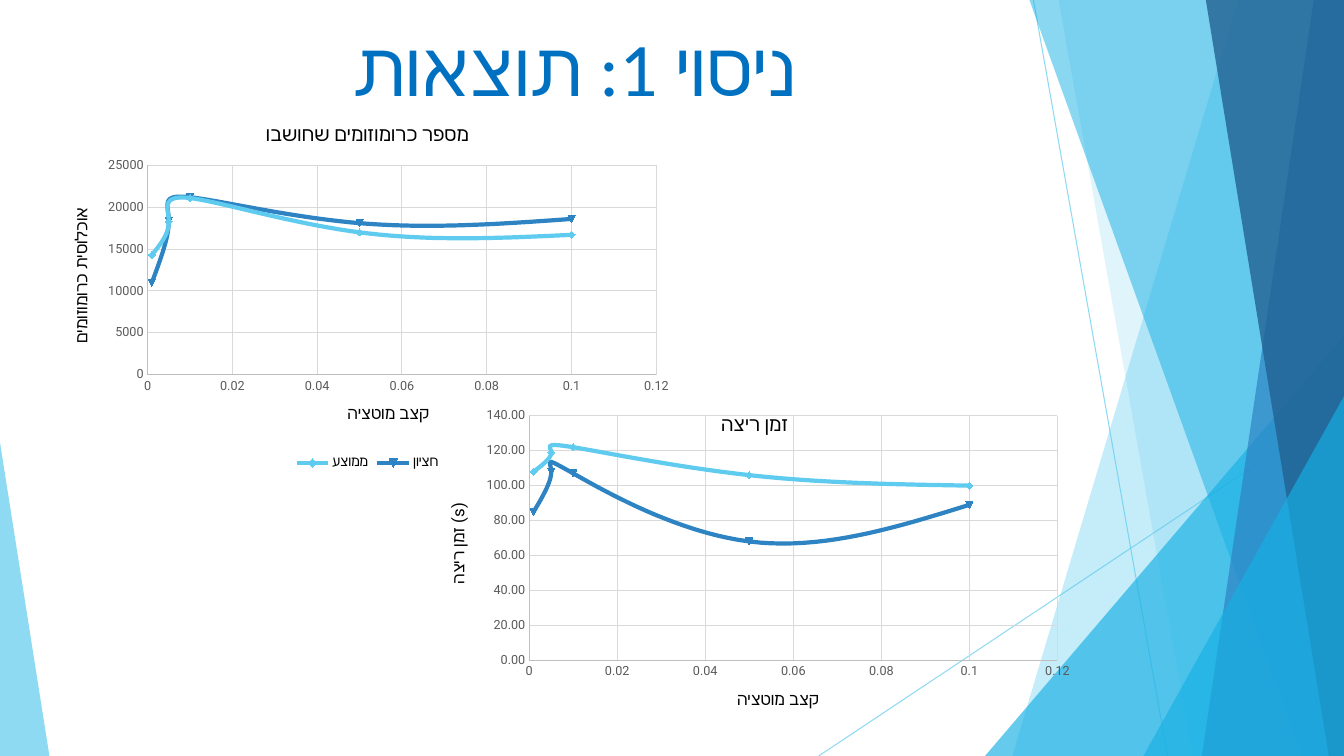
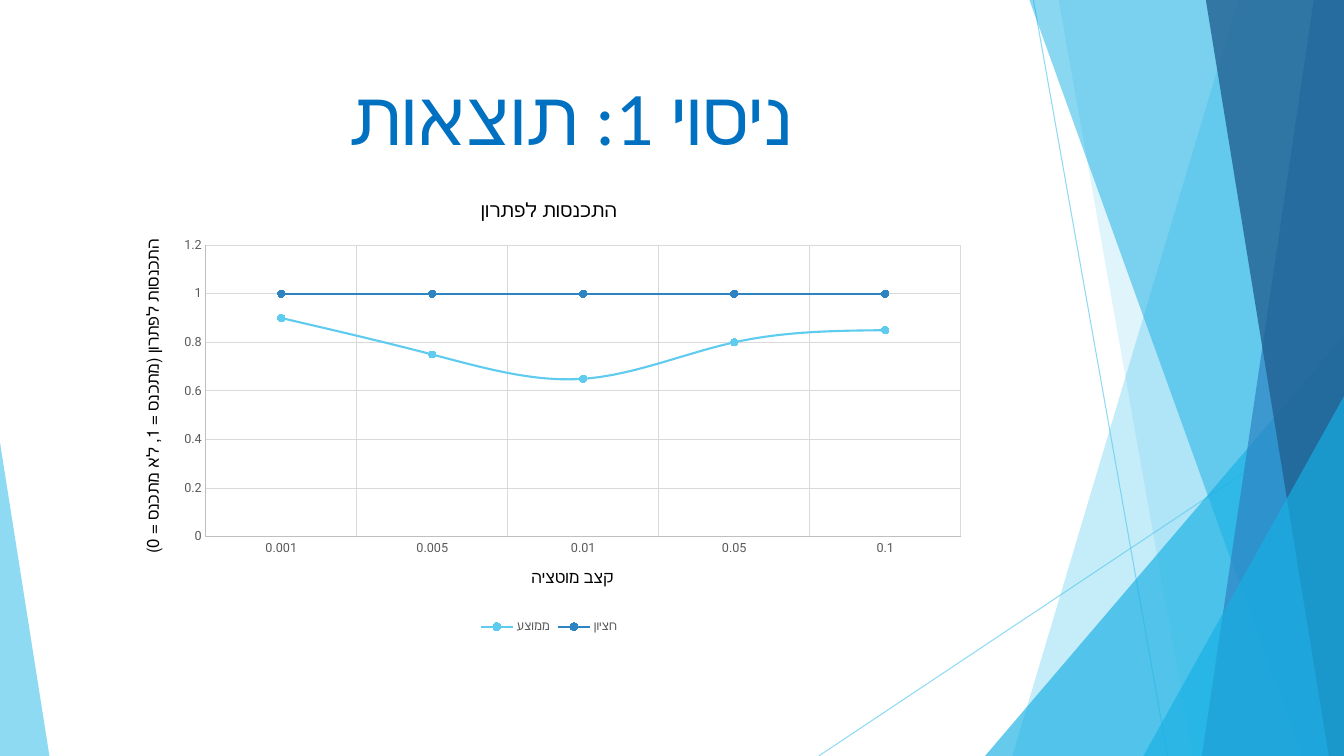
from lxml import etree
from pptx import Presentation
from pptx.chart.data import CategoryChartData, XyChartData
from pptx.dml.color import RGBColor
from pptx.enum.chart import XL_CHART_TYPE, XL_LEGEND_POSITION, XL_MARKER_STYLE, XL_TICK_MARK
from pptx.enum.shapes import MSO_CONNECTOR, MSO_SHAPE
from pptx.enum.text import MSO_ANCHOR, PP_ALIGN
from pptx.oxml.ns import qn
from pptx.util import Inches, Pt

SCATTER, LINE = XL_CHART_TYPE.XY_SCATTER_SMOOTH, XL_CHART_TYPE.LINE_MARKERS
CIRCLE = XL_MARKER_STYLE.CIRCLE
NO_TICK = XL_TICK_MARK.NONE
BOTTOM = XL_LEGEND_POSITION.BOTTOM
STRAIGHT, TRIANGLE = MSO_CONNECTOR.STRAIGHT, MSO_SHAPE.ISOSCELES_TRIANGLE
TOP, CENTER = MSO_ANCHOR.TOP, PP_ALIGN.CENTER


class Theme:
    sky, cyan = RGBColor(0x5F, 0xCB, 0xEF), RGBColor(0x17, 0xB0, 0xE4)
    blue, navy = RGBColor(0x2E, 0x83, 0xC3), RGBColor(0x22, 0x62, 0x92)
    title = RGBColor(0x00, 0x70, 0xC0)
    black, grey = RGBColor(0, 0, 0), RGBColor(0x59, 0x59, 0x59)
    axis, grid = RGBColor(0xBF, 0xBF, 0xBF), RGBColor(0xD9, 0xD9, 0xD9)
    title_font, chart_font = "Calibri", "Roboto"
    title_size, chart_title_size, axis_title_size = Pt(54), Pt(14), Pt(12)
    chart_size, label_size = Pt(10), Pt(9)
    hairline = Pt(0.75)


W, H = 13.33, 7.5
TITLE = "ניסוי 1: תוצאות"
RATE_TITLE = "קצב מוטציה"
MEAN, MEDIAN = "ממוצע", "חציון"
RATES = [0.001, 0.005, 0.01, 0.05, 0.1]

RAYS = [(10.25, 0, 11.58, H), (W, 4.03, 8.12, H)]
# Bands: top-left x, bottom-left x. Peaks: left, top, width, apex position.
FACETS = [
    ((12.28, 10.04), Theme.sky, 36),
    ((10.5, 11.83), Theme.sky, 20),
    ((9.77, 3.33, 3.56, 1), Theme.cyan, 66),
    ((10.21, 12.91), Theme.cyan, 50),
    ((13.03, 11.92), Theme.blue, 70),
    ((11.96, 13.18), Theme.navy, 80),
    ((11.34, 3.93, 1.99, 1), Theme.cyan, 66),
    ((0, 4.39, 0.49, 0), Theme.sky, 70),
]

RUN_TIME = dict(
    kind=SCATTER, box=(4.29, 3.93, 6.39, 3.91), plot=(0.15, 0.05, 0.82, 0.62),
    title="זמן ריצה", y_title="זמן ריצה (s)", y_max=140, y_step=20, y_format="0.00",
    mean=[108, 119, 122, 106, 100], median=[85, 108, 107, 68, 89])
CHROMOSOMES = dict(
    kind=SCATTER, box=(0.53, 1.06, 6.23, 3.64), plot=(0.15, 0.16, 0.81, 0.57),
    title="מספר כרומוזומים שחושבו", y_title="אוכלוסית כרומוזומים",
    y_max=25000, y_step=5000, y_format="General",
    mean=[14300, 18300, 21100, 17000, 16700], median=[11000, 18400, 21200, 18100, 18600])
CONVERGENCE = dict(
    kind=LINE, box=(1.19, 1.8, 8.51, 4.52), plot=(0.1, 0.14, 0.88, 0.64),
    title="התכנסות לפתרון", y_title="התכנסות לפתרון (מתכנס = 1, לא מתכנס = 0)",
    y_max=1.2, y_step=0.2, y_format="General",
    mean=[0.9, 0.75, 0.65, 0.8, 0.85], median=[1, 1, 1, 1, 1])
SLIDES = [((1, 0.16), [RUN_TIME, CHROMOSOMES]), ((0.96, 0.64), [CONVERGENCE])]


def set_alpha(shape, percent):
    for color in shape.element.xpath(".//a:srgbClr"):
        etree.SubElement(color, qn("a:alpha")).set("val", str(percent * 1000))


def set_title(titled, text, size):
    """Title a chart or an axis in plain black text."""
    tf = (titled.chart_title if hasattr(titled, "chart_title") else titled.axis_title).text_frame
    tf.text = text
    font = tf.paragraphs[0].runs[0].font
    font.size, font.bold, font.name = size, False, Theme.chart_font
    font.color.rgb = Theme.black


prs = Presentation()
prs.slide_width, prs.slide_height = Inches(W), Inches(H)
layout = prs.slide_layouts[6]
for ph in list(layout.placeholders):
    ph.element.getparent().remove(ph.element)
slides = [prs.slides.add_slide(layout) for _ in SLIDES]

# Shared backdrop: drawn once, then moved to the layout
shapes = slides[0].shapes
for ray in RAYS:
    line = shapes.add_connector(STRAIGHT, *map(Inches, ray))
    line.line.color.rgb, line.line.width = Theme.sky, Theme.hairline
    set_alpha(line, 70)
    etree.SubElement(line.element.spPr, qn("a:effectLst"))
for outline, color, alpha in FACETS:
    if len(outline) == 2:
        top_x, bottom_x = outline
        builder = shapes.build_freeform(Inches(top_x), 0)
        corners = [(W, 0), (W, H), (bottom_x, H)]
        builder.add_line_segments([(Inches(x), Inches(y)) for x, y in corners])
        sp = builder.convert_to_shape()
    else:
        left, top, width, apex = outline
        sp = shapes.add_shape(TRIANGLE, *map(Inches, (left, top, width, H - top)))
        sp.adjustments[0] = apex
    sp.shadow.inherit = False
    sp.fill.solid()
    sp.fill.fore_color.rgb = color
    sp.line.fill.background()
    set_alpha(sp, alpha)
for sp in list(shapes):
    layout.shapes.element.append(sp.element)

for s, ((left, top), charts) in zip(slides, SLIDES):
    tf = s.shapes.add_textbox(*map(Inches, (left, top, 9.4, 1.44))).text_frame
    tf.word_wrap, tf.vertical_anchor = True, TOP
    tf.text = TITLE
    p = tf.paragraphs[0]
    p.alignment = CENTER
    p.runs[0].font.size, p.runs[0].font.name = Theme.title_size, Theme.title_font
    p.runs[0].font.color.rgb = Theme.title
    for r_pr in p.runs[0].font, :
        r_props = p.runs[0]._r.get_or_add_rPr()
        etree.SubElement(r_props, qn("a:cs")).set("typeface", Theme.title_font)
    p._p.get_or_add_pPr().set("rtl", "1")

    for c in charts:
        scatter = c["kind"] == SCATTER
        data = XyChartData() if scatter else CategoryChartData()
        if not scatter:
            data.categories = [str(rate) for rate in RATES]
        for name, values in ((MEAN, c["mean"]), (MEDIAN, c["median"])):
            if scatter:
                points = data.add_series(name)
                for rate, value in zip(RATES, values):
                    points.add_data_point(rate, value)
            else:
                data.add_series(name, values)
        chart = s.shapes.add_chart(c["kind"], *map(Inches, c["box"]), data).chart
        chart.font.size, chart.font.name = Theme.chart_size, Theme.chart_font
        chart.font.color.rgb = Theme.black
        set_title(chart, c["title"], Theme.chart_title_size)
        chart.has_legend = True
        chart.legend.position, chart.legend.include_in_layout = BOTTOM, False

        plot = chart.plots[0]
        plot.vary_by_categories = False
        for series, color in zip(plot.series, (Theme.sky, Theme.blue)):
            series.format.line.color.rgb = color
            series.format.line.width = Pt(3 if scatter else 1.5)
            if not scatter:
                series.marker.style, series.marker.size = CIRCLE, 5
                series.marker.format.fill.solid()
                series.marker.format.fill.fore_color.rgb = color
                series.marker.format.line.color.rgb = color
        for smooth in chart.element.xpath(".//c:ser/c:smooth"):
            smooth.set("val", "1")

        x_axis, y_axis = chart.category_axis, chart.value_axis
        for axis, text in ((x_axis, RATE_TITLE), (y_axis, c["y_title"])):
            set_title(axis, text, Theme.axis_title_size)
            axis.major_tick_mark = axis.minor_tick_mark = NO_TICK
            axis.has_major_gridlines = True
            for rule, color in ((axis.format, Theme.axis),
                                (axis.major_gridlines.format, Theme.grid)):
                rule.line.color.rgb, rule.line.width = color, Theme.hairline
        small_fonts = [x_axis.tick_labels.font, y_axis.tick_labels.font]
        y_axis.minimum_scale, y_axis.maximum_scale = 0, c["y_max"]
        y_axis.major_unit = c["y_step"]
        y_axis.tick_labels.number_format = c["y_format"]
        y_axis.tick_labels.number_format_is_linked = False
        if scatter:
            x_axis.minimum_scale, x_axis.maximum_scale, x_axis.major_unit = 0, 0.12, 0.02
            # Automatic markers follow the index: 1 is a diamond, 2 a triangle
            for number, idx in enumerate(chart.element.xpath(".//c:ser/c:idx"), 1):
                idx.set("val", str(number))
        else:
            small_fonts.append(chart.legend.font)
        for font in small_fonts:
            font.size, font.name = Theme.label_size, Theme.chart_font
            font.color.rgb = Theme.grey

        plot_area = chart.element.xpath(".//c:plotArea")[0]
        for old in plot_area.findall(qn("c:layout")):
            plot_area.remove(old)
        area = etree.Element(qn("c:layout"))
        plot_area.insert(0, area)
        manual = etree.SubElement(area, qn("c:manualLayout"))
        settings = [("layoutTarget", "inner"), ("xMode", "edge"), ("yMode", "edge")]
        for tag, value in settings + list(zip("xywh", c["plot"])):
            etree.SubElement(manual, qn("c:" + tag)).set("val", str(value))

prs.save("out.pptx")
